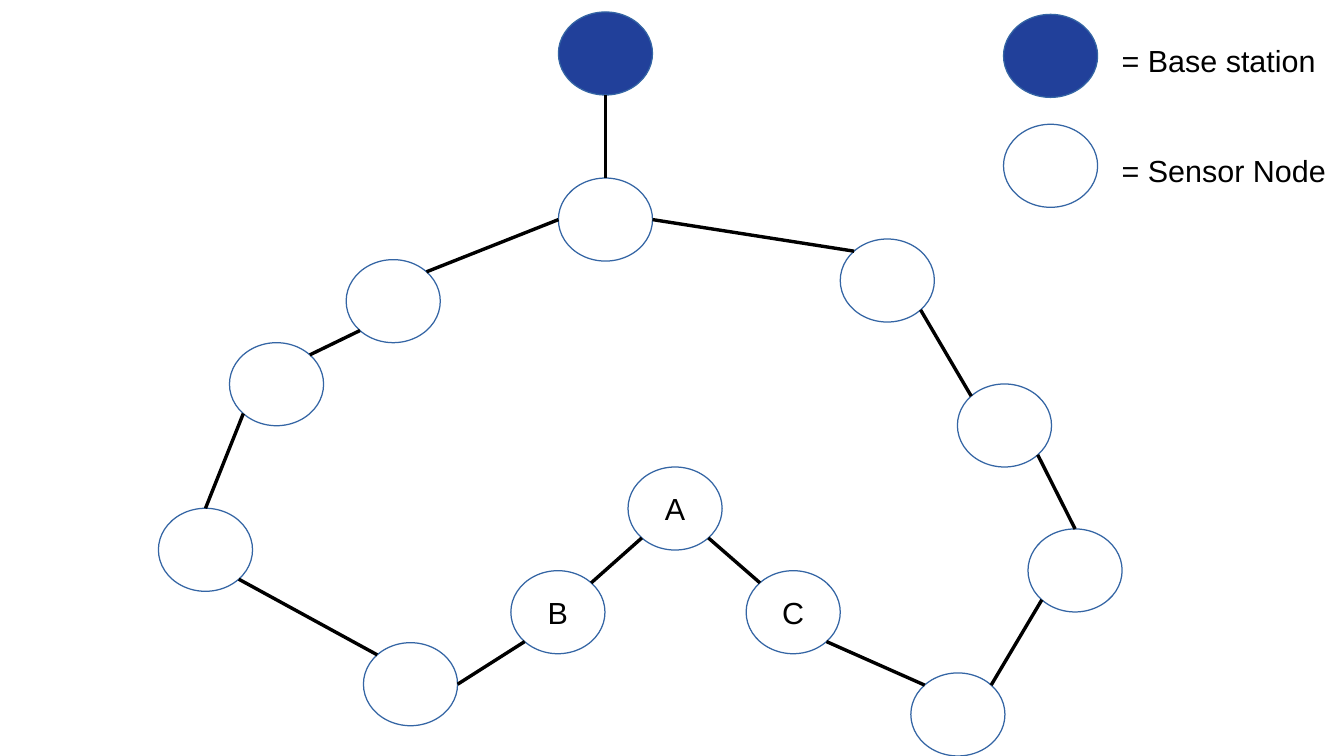
import lxml.etree
import pptx
import pptx.dml.color
import pptx.enum.shapes
import pptx.enum.text
import pptx.oxml.ns
import pptx.util

Cm = pptx.util.Cm
Pt = pptx.util.Pt
Rgb = pptx.dml.color.RGBColor.from_string

THEME = {
    "base": "21409A", "node": "FFFFFF", "edge": "3465A4", "ink": "000000",
    "font": "Arial", "size": 18, "line": 0,
}
PAGE = (27.99, 15.75)
WIDE, HIGH = 1.96, 1.73

NODES = {
    "west": (3.3, 10.59, "node", ""),
    "upper west": (4.78, 7.14, "node", ""),
    "north west": (7.21, 5.41, "node", ""),
    "hub": (11.63, 3.71, "node", ""),
    "base": (11.63, 0.25, "base", ""),
    "south west": (7.57, 13.39, "node", ""),
    "B": (10.64, 11.89, "node", "B"),
    "A": (13.08, 9.73, "node", "A"),
    "C": (15.54, 11.89, "node", "C"),
    "south east": (18.97, 14.02, "node", ""),
    "east": (21.41, 11.02, "node", ""),
    "north east": (17.5, 4.98, "node", ""),
    "upper east": (19.94, 8.0, "node", ""),
    "key node": (20.9, 2.59, "node", ""),
    "key base": (20.9, 0.3, "base", ""),
}
LINKS = [
    ("upper west", "NE", "north west", "SW"),
    ("upper west", "SW", "west", "N"),
    ("west", "SE", "south west", "NW"),
    ("south west", "E", "B", "SW"),
    ("B", "NE", "A", "SW"),
    ("A", "SE", "C", "NW"),
    ("C", "SE", "south east", "NW"),
    ("south east", "NE", "east", "SW"),
    ("east", "N", "upper east", "SE"),
    ("upper east", "NW", "north east", "SE"),
    ("north east", "NW", "hub", "E"),
    ("north west", "NE", "hub", "W"),
    ("hub", "N", "base", "S"),
]
LABELS = [
    ("= Base station", 23.11, 0.76, 4.83, 1.02),
    ("= Sensor Node", 23.11, 3.05, 4.88, 1.02),
]


def apply(item, form):
    for name, value in form.items():
        setattr(item, name, value)


def write(shape, text, form):
    frame = shape.text_frame
    apply(frame, form)
    frame.text = text
    font = frame.paragraphs[0].runs[0].font
    apply(font, {"name": THEME["font"], "size": Pt(THEME["size"])})
    font.color.rgb = Rgb(THEME["ink"])
    return frame.paragraphs[0]


def stroke(shape, tint):
    shape.line.color.rgb = Rgb(THEME[tint])
    shape.line.width = Pt(THEME["line"])


def port(name, side):
    left, top = NODES[name][:2]
    across = ("E" in side) - ("W" in side)
    down = ("S" in side) - ("N" in side)
    scale = 0.5 / (across ** 2 + down ** 2) ** 0.5
    return (Cm(left + WIDE * (0.5 + across * scale)),
            Cm(top + HIGH * (0.5 + down * scale)))


def draw_node(shapes, left, top, tint, text):
    node = shapes.add_shape(pptx.enum.shapes.MSO_SHAPE.OVAL,
                            Cm(left), Cm(top), Cm(WIDE), Cm(HIGH))
    node.shadow.inherit = False
    node.fill.solid()
    node.fill.fore_color.rgb = Rgb(THEME[tint])
    stroke(node, "edge")
    if text:
        para = write(node, text, {
            "word_wrap": False,
            "vertical_anchor": pptx.enum.text.MSO_ANCHOR.MIDDLE,
        })
        para.alignment = pptx.enum.text.PP_ALIGN.CENTER


def draw_link(shapes, start, leave, end, enter):
    link = shapes.add_connector(pptx.enum.shapes.MSO_CONNECTOR.STRAIGHT,
                                *port(start, leave), *port(end, enter))
    stroke(link, "ink")
    lxml.etree.SubElement(link._element.spPr, pptx.oxml.ns.qn("a:effectLst"))


def main():
    deck = pptx.Presentation()
    apply(deck, {"slide_width": Cm(PAGE[0]), "slide_height": Cm(PAGE[1])})
    shapes = deck.slides.add_slide(deck.slide_layouts[6]).shapes
    for node in NODES.values():
        draw_node(shapes, *node)
    for link in LINKS:
        draw_link(shapes, *link)
    for text, *place in LABELS:
        box = shapes.add_textbox(*map(Cm, place))
        write(box, text, {"word_wrap": True})
    deck.save("out.pptx")


if __name__ == "__main__":
    main()
